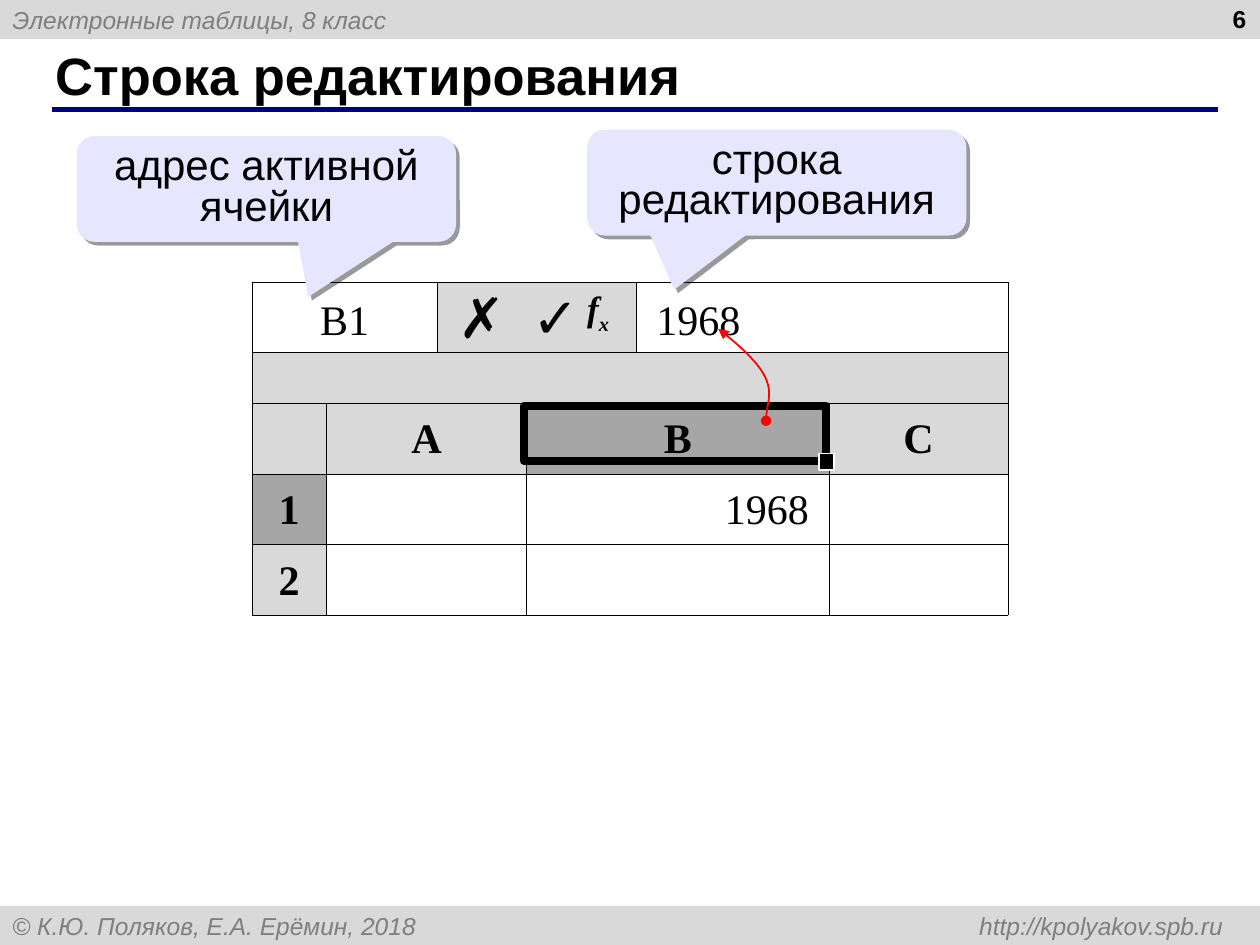
from lxml import etree
from pptx import Presentation
from pptx.dml.color import RGBColor
from pptx.enum.shapes import MSO_CONNECTOR, MSO_SHAPE
from pptx.enum.text import MSO_ANCHOR, PP_ALIGN
from pptx.oxml import parse_xml
from pptx.oxml.ns import nsdecls, qn
from pptx.util import Inches, Pt

BLACK = RGBColor(0x00, 0x00, 0x00)
WHITE = RGBColor(0xFF, 0xFF, 0xFF)
PALE = RGBColor(0xD9, 0xD9, 0xD9)
DARK = RGBColor(0xA6, 0xA6, 0xA6)
GREY = RGBColor(0x7F, 0x7F, 0x7F)
NAVY = RGBColor(0x00, 0x00, 0x80)
RED = RGBColor(0xFF, 0x00, 0x00)
LAVENDER = RGBColor(0xE6, 0xE6, 0xFF)
LEFT, CENTER, RIGHT = PP_ALIGN.LEFT, PP_ALIGN.CENTER, PP_ALIGN.RIGHT
TOP, MIDDLE = MSO_ANCHOR.TOP, MSO_ANCHOR.MIDDLE
RECTANGLE = MSO_SHAPE.RECTANGLE
CALLOUT = MSO_SHAPE.ROUNDED_RECTANGULAR_CALLOUT
SANS, SERIF = "Arial", "Times New Roman"

COLUMNS = (0.59, 0.88, 0.71, 0.87, 1.53, 1.42)
ROWS = (0.46, 0.08, 0.46, 0.46, 0.46)
CELLS = (
    ((2, "B1", None, CENTER, False, "LRTB"), (1, "", PALE, LEFT, False, "LTB"),
     (1, "", PALE, LEFT, False, "RTB"), (2, "1968", None, LEFT, False, "LRTB")),
    ((1, "", PALE, LEFT, False, "LTB"), (2, "", PALE, LEFT, False, "TB"),
     (2, "", PALE, LEFT, False, "TB"), (1, "", PALE, LEFT, False, "RTB")),
    ((1, "", PALE, LEFT, False, "LRTB"), (2, "A", PALE, CENTER, True, "LRTB"),
     (2, "B", DARK, CENTER, True, "LRTB"), (1, "C", PALE, CENTER, True, "LRTB")),
    ((1, "1", DARK, CENTER, True, "LRTB"), (2, "", None, LEFT, False, "LRTB"),
     (2, "1968", None, RIGHT, False, "LRTB"), (1, "", None, LEFT, False, "LRTB")),
    ((1, "2", PALE, CENTER, True, "LRTB"), (2, "", None, LEFT, False, "LRTB"),
     (2, "", None, LEFT, False, "LRTB"), (1, "", None, LEFT, False, "LRTB")),
)


def inches(box):
    return [Inches(value) for value in box]


def style(font, size, name=SANS, color=BLACK, bold=False, italic=False):
    font.size, font.name = Pt(size), name
    font.bold, font.italic = bold, italic
    font.color.rgb = color


def add_shape(page, kind, box, fill=None, line=None, weight=1):
    shape = page.shapes.add_shape(kind, *inches(box))
    shape.shadow.inherit = False
    if fill is None:
        shape.fill.background()
    else:
        shape.fill.solid()
        shape.fill.fore_color.rgb = fill
    if line is None:
        shape.line.fill.background()
    else:
        shape.line.color.rgb = line
        shape.line.width = Pt(weight)
    return shape


def write(shape, text, size, align=LEFT, anchor=MIDDLE, **looks):
    frame = shape.text_frame
    frame.word_wrap = True
    frame.vertical_anchor = anchor
    frame.text = text
    para = frame.paragraphs[0]
    para.alignment = align
    for span in para.runs:
        style(span.font, size, **looks)
    return para


def add_tab(para, position, align):
    tabs = etree.SubElement(para._p.get_or_add_pPr(), qn("a:tabLst"))
    etree.SubElement(tabs, qn("a:tab"), pos=str(Inches(position)), algn=align)


def add_strip(page, box, text, tab=None):
    strip = add_shape(page, RECTANGLE, box, PALE)
    para = write(strip, text, 14, color=GREY, italic=True)
    if tab:
        add_tab(para, tab, "r")


def add_heading(page, box, title):
    left, top, width, height = box
    rule = page.shapes.add_connector(
        MSO_CONNECTOR.STRAIGHT, *inches((left + 0.07, top + 0.54, left + 9.33, top + 0.54)))
    rule.line.color.rgb = NAVY
    rule.line.width = Pt(3)
    etree.SubElement(rule._element.spPr, qn("a:effectLst"))
    write(page.shapes.add_textbox(*inches(box)), title, 30, bold=True)


def add_number(page, box, number):
    write(page.shapes.add_textbox(*inches(box)), number, 14, RIGHT, TOP, bold=True)


def set_borders(cell, sides):
    properties = cell._tc.get_or_add_tcPr()
    for index, side in enumerate("LRTB"):
        paint = '<a:solidFill><a:srgbClr val="000000"/></a:solidFill>' if side in sides else "<a:noFill/>"
        properties.insert(index, parse_xml(
            f'<a:ln{side} {nsdecls("a")} w="{Pt(0.45)}">{paint}</a:ln{side}>'))


def fill_cell(cell, text, align, bold, anchor):
    cell.text_frame.text = text
    cell.vertical_anchor = anchor
    cell.margin_left = cell.margin_right = Inches(0.16)
    para = cell.text_frame.paragraphs[0]
    para.alignment = align
    para.line_spacing = 1.15
    style(para.runs[0].font, 24, SERIF, bold=bold)


def add_sheet(page, box):
    table = page.shapes.add_table(len(ROWS), len(COLUMNS), *inches(box)).table
    table.first_row = table.horz_banding = False
    for column, width in zip(table.columns, COLUMNS):
        column.width = Inches(width)
    for row, height in zip(table.rows, ROWS):
        row.height = Inches(height)
    for row, entries in enumerate(CELLS):
        start = 0
        for width, text, fill, align, bold, sides in entries:
            cells = [table.cell(row, start + offset) for offset in range(width)]
            for cell in cells:
                if fill is None:
                    cell.fill.background()
                else:
                    cell.fill.solid()
                    cell.fill.fore_color.rgb = fill
                set_borders(cell, sides)
            if width > 1:
                cells[0].merge(cells[-1])
            if text:
                fill_cell(cells[0], text, align, bold, TOP if row else MIDDLE)
            start += width


def add_selection(page, box):
    left, top, width, height = box
    add_shape(page, RECTANGLE, box, line=BLACK, weight=4.5)
    handle = (left + width - 0.06, top + height - 0.06, 0.12, 0.13)
    add_shape(page, RECTANGLE, handle, BLACK, WHITE, 0.75)


def add_bare_text(page, box):
    text_box = page.shapes.add_textbox(*inches(box))
    frame = text_box.text_frame
    frame.margin_left = frame.margin_right = frame.margin_top = frame.margin_bottom = 0
    return text_box


def add_buttons(page, box):
    left, top, width, height = box
    marks = add_bare_text(page, box)
    add_tab(write(marks, "✗\t✓", 32, anchor=TOP), 0.59, "l")
    function = add_bare_text(page, (left + 1.02, top + 0.03, 0.29, 0.44))
    para = write(function, "f", 20, anchor=TOP, name=SERIF, bold=True, italic=True)
    function.text_frame.word_wrap = False
    index = para.add_run()
    index.text = "x"
    style(index.font, 20, SERIF, bold=True, italic=True)
    index.font._element.set("baseline", "-30000")


def add_curve(page, start, *controls):
    builder = page.shapes.build_freeform(*inches(start), scale=1.0)
    builder.add_line_segments([inches(point) for point in controls], close=False)
    curve = builder.convert_to_shape()
    curve.shadow.inherit = False
    curve.fill.background()
    curve.line.color.rgb = RED
    curve.line.width = Pt(1)
    segments = list(curve._element.iter(qn("a:lnTo")))
    bezier = etree.SubElement(segments[0].getparent(), qn("a:cubicBezTo"))
    for segment in segments:
        bezier.append(segment[0])
        segment.getparent().remove(segment)
    line = curve.line._get_or_add_ln()
    etree.SubElement(line, qn("a:headEnd"), type="oval")
    etree.SubElement(line, qn("a:tailEnd"), type="triangle")


def add_callout(page, box, text, pointer):
    callout = add_shape(page, CALLOUT, box, LAVENDER)
    for index, value in enumerate((*pointer, 0.167)):
        callout.adjustments[index] = value
    write(callout, text, 24, CENTER).line_spacing = 0.8
    effects = callout._element.spPr.find(qn("a:effectLst"))
    effects.append(parse_xml(
        f'<a:outerShdw {nsdecls("a")} dist="{Pt(3)}" dir="2700000" algn="tl" rotWithShape="0">'
        '<a:srgbClr val="000000"><a:alpha val="40000"/></a:srgbClr></a:outerShdw>'))


def main():
    deck = Presentation()
    deck.slide_width, deck.slide_height = Inches(10), Inches(7.5)
    page = deck.slides.add_slide(deck.slide_layouts[6])
    add_strip(page, (0, 0, 10, 0.31), "Электронные таблицы, 8 класс")
    add_strip(page, (0, 7.19, 10, 0.31),
              "© К.Ю. Поляков, Е.А. Ерёмин, 2018\thttp://kpolyakov.spb.ru", 9.61)
    add_heading(page, (0.34, 0.33, 9.16, 0.52), "Строка редактирования")
    add_number(page, (7.66, -0.02, 2.33, 0.52), "6")
    add_sheet(page, (2, 2.24, 5.98, 1.92))
    add_selection(page, (4.16, 3.22, 2.4, 0.44))
    add_buttons(page, (3.64, 2.24, 1.36, 0.56))
    add_curve(page, (6.08, 3.34), (6.08, 3.14), (6.22, 3.01), (5.7, 2.61))
    add_callout(page, (4.66, 1.03, 3.01, 0.84), "строка редактирования", (-0.27, 1.01))
    add_callout(page, (0.61, 1.08, 3.01, 0.84), "адрес активной ячейки", (0.11, 1.02))
    deck.save("out.pptx")


if __name__ == "__main__":
    main()
